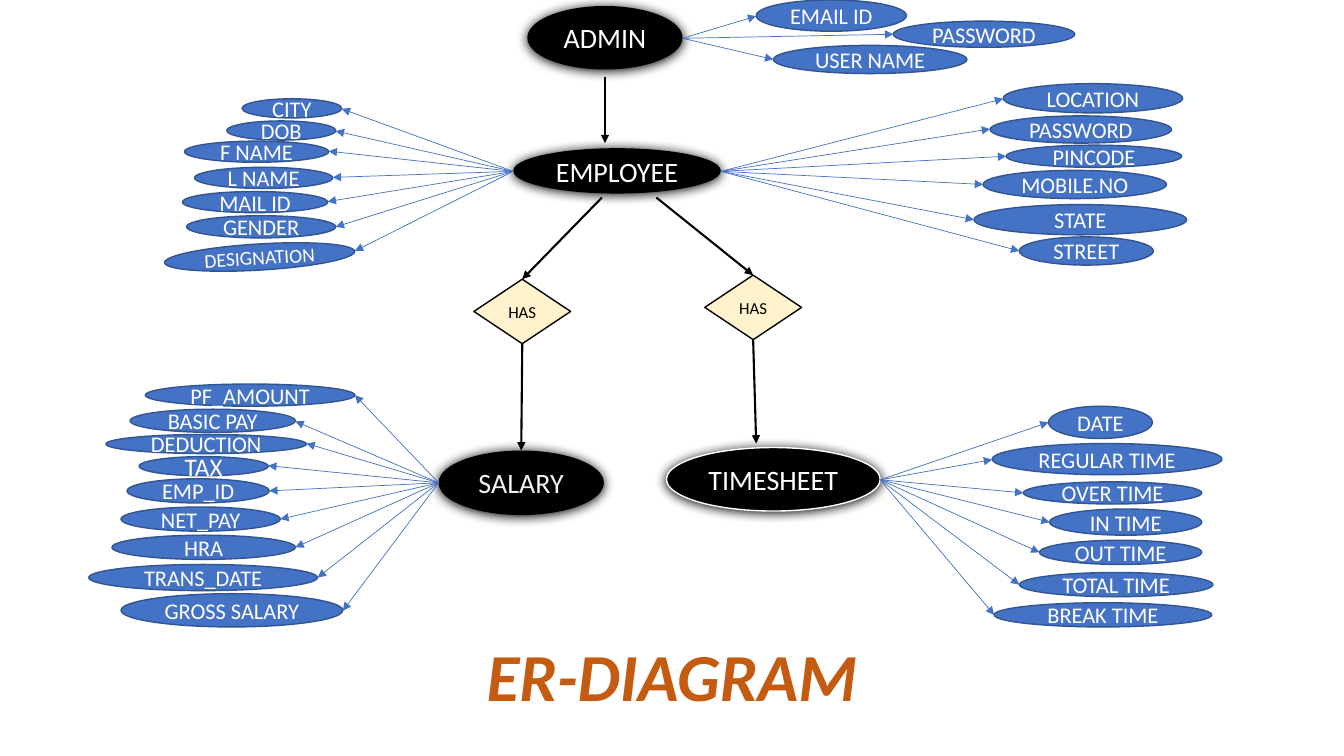
"""Build the ER-diagram slide of an employee payroll database."""
import math

from lxml import etree
from pptx import Presentation
from pptx import util as u
from pptx.dml.color import RGBColor
from pptx.enum import shapes, text
from pptx.oxml import parse_xml
from pptx.oxml.ns import nsdecls, qn

PX = 9144
SLIDE_SIZE = (1333, 750)
FONT = "Calibri"
BLACK, WHITE, BLUE, NAVY = "000000", "FFFFFF", "4472C4", "325491"
CREAM, ORANGE, PALE = "FFF2CC", "C55A11", "F2F2F2"
TITLE = ("ER-DIAGRAM", (369, 624, 595, 91))

# entity: box, text colour, outline, side of its attributes, attributes
ENTITIES = {
    "ADMIN": ((523, 6, 154, 63), WHITE, None, "right", [
        ("EMAIL ID", (750, 0, 149, 31)),
        ("PASSWORD", (886, 21, 180, 26)),
        ("USER NAME", (767, 45, 192, 28)),
    ]),
    "EMPLOYEE": ((509, 147, 206, 45), WHITE, None, "right", [
        ("LOCATION", (995, 83, 178, 29)),
        ("PASSWORD", (982, 115, 180, 27)),
        ("PINCODE", (998, 144, 174, 22)),
        ("MOBILE.NO", (975, 169, 182, 28)),
        ("STATE", (966, 203, 211, 30)),
        ("STREET", (1011, 235, 133, 28)),
    ]),
    "SALARY": ((435, 447, 164, 64), PALE, None, "left", [
        ("PF_AMOUNT", (144, 381, 208, 22)),
        ("BASIC PAY", (129, 406, 164, 23)),
        ("DEDUCTION", (105, 431, 199, 19)),
        ("TAX", (138, 453, 128, 19)),
        ("EMP_ID", (126, 475, 141, 24)),
        ("NET_PAY", (120, 503, 158, 24)),
        ("HRA", (111, 531, 182, 24)),
        ("TRANS_DATE", (88, 560, 227, 26)),
        ("GROSS SALARY", (120, 589, 220, 33)),
    ]),
    "TIMESHEET": ((661, 444, 212, 63), WHITE, WHITE, "right", [
        ("DATE", (1040, 403, 103, 32)),
        ("REGULAR TIME", (984, 440, 228, 31)),
        ("OVER TIME", (1015, 478, 177, 22)),
        ("IN TIME", (1041, 505, 151, 26)),
        ("OUT TIME", (1031, 536, 161, 24)),
        ("TOTAL TIME", (1011, 568, 192, 24)),
        ("BREAK TIME", (986, 598, 216, 24)),
    ]),
}
EMPLOYEE_LEFT = [
    ("CITY", (240, 98, 99, 19)),
    ("DOB", (225, 120, 108, 19)),
    ("F NAME", (183, 140, 143, 21)),
    ("L NAME", (193, 166, 137, 21)),
    ("MAIL ID", (181, 190, 144, 21)),
    ("GENDER", (185, 214, 148, 22)),
    ("DESIGNATION", (163, 242, 189, 26)),
]
SPECIAL_SIZES = {"DESIGNATION": 14, "TAX": 18}
ROTATIONS = {"DESIGNATION": -3.4}

ADMIN_ARROW = ((600, 76), (600, 142))
# box, preset, start of the arrow in, end of the arrow out
RELATIONS = [
    ((470, 277, 96, 64), shapes.MSO_SHAPE.DIAMOND, (597, 196), (517, 447)),
    ((699, 273, 96, 64), shapes.MSO_SHAPE.FLOWCHART_DECISION, (651, 196), (750, 440)),
]


def color(value):
    return RGBColor.from_string(value)


def side_middle(box, side, rotation=0):
    left, top, width, height = box
    reach = width / 2 * (1 if side == "right" else -1)
    angle = math.radians(rotation)
    return (round(left + width / 2 + reach * math.cos(angle)),
            round(top + height / 2 + reach * math.sin(angle)))


def write(frame, words, size, ink):
    frame.text = words
    paragraph = frame.paragraphs[0]
    paragraph.alignment = text.PP_ALIGN.CENTER
    font = paragraph.font
    font.name, font.size = FONT, u.Pt(size)
    font.color.rgb = color(ink)
    return font


def add_node(slide, preset, box, words, size, fill, ink, outline):
    shape = slide.shapes.add_shape(preset, *(value * PX for value in box))
    shape.shadow.inherit = False
    shape.fill.solid()
    shape.fill.fore_color.rgb = color(fill)
    if outline:
        shape.line.color.rgb = color(outline)
        shape.line.width = u.Pt(1)
    else:
        shape.line.fill.background()
    write(shape.text_frame, words, size, ink)
    shape.text_frame.vertical_anchor = text.MSO_ANCHOR.MIDDLE
    return shape


def add_glow(shape):
    effects = shape._element.spPr.find(qn("a:effectLst"))
    effects.append(parse_xml(
        f'<a:outerShdw {nsdecls("a")} blurRad="107950" dist="12700" dir="5400000" '
        f'algn="ctr" rotWithShape="0"><a:srgbClr val="{BLACK}"/></a:outerShdw>'))


def add_arrow(slide, start, end, ink, width):
    connector = slide.shapes.add_connector(
        shapes.MSO_CONNECTOR.STRAIGHT, *(value * PX for value in start + end))
    connector.line.color.rgb = color(ink)
    connector.line.width = u.Pt(width)
    properties = connector._element.spPr
    etree.SubElement(properties.find(qn("a:ln")), qn("a:tailEnd"), type="triangle")
    etree.SubElement(properties, qn("a:effectLst"))
    return connector


def add_attributes(slide, entity_box, side, attributes):
    facing = "left" if side == "right" else "right"
    for name, box in attributes:
        rotation = ROTATIONS.get(name, 0)
        shape = add_node(slide, shapes.MSO_SHAPE.OVAL, box, name,
                         SPECIAL_SIZES.get(name, 16), BLUE, WHITE, NAVY)
        shape.rotation = rotation
        add_arrow(slide, side_middle(entity_box, side),
                  side_middle(box, facing, rotation), BLUE, 0.5)


def add_title(slide):
    words, box = TITLE
    title = slide.shapes.title
    title.left, title.top, title.width, title.height = (value * PX for value in box)
    font = write(title.text_frame, words, 48, ORANGE)
    font.bold = font.italic = True
    title.text_frame.vertical_anchor = text.MSO_ANCHOR.TOP
    title.text_frame.auto_size = text.MSO_AUTO_SIZE.NONE


def main():
    presentation = Presentation()
    presentation.slide_width, presentation.slide_height = (value * PX for value in SLIDE_SIZE)
    slide = presentation.slides.add_slide(presentation.slide_layouts[5])
    add_title(slide)
    for name, (box, ink, outline, side, attributes) in ENTITIES.items():
        add_glow(add_node(slide, shapes.MSO_SHAPE.OVAL, box, name, 20, BLACK, ink, outline))
        add_attributes(slide, box, side, attributes)
    add_attributes(slide, ENTITIES["EMPLOYEE"][0], "left", EMPLOYEE_LEFT)
    add_arrow(slide, *ADMIN_ARROW, BLACK, 1.5)
    for box, preset, start, end in RELATIONS:
        relation = add_node(slide, preset, box, "HAS", 12, CREAM, BLACK, BLACK)
        left, top, width, height = box
        middle = left + width // 2
        add_arrow(slide, start, (middle, top), BLACK, 1.5).end_connect(relation, 0)
        add_arrow(slide, (middle, top + height), end, BLACK, 1.5).begin_connect(relation, 2)
    presentation.save("out.pptx")


if __name__ == "__main__":
    main()
